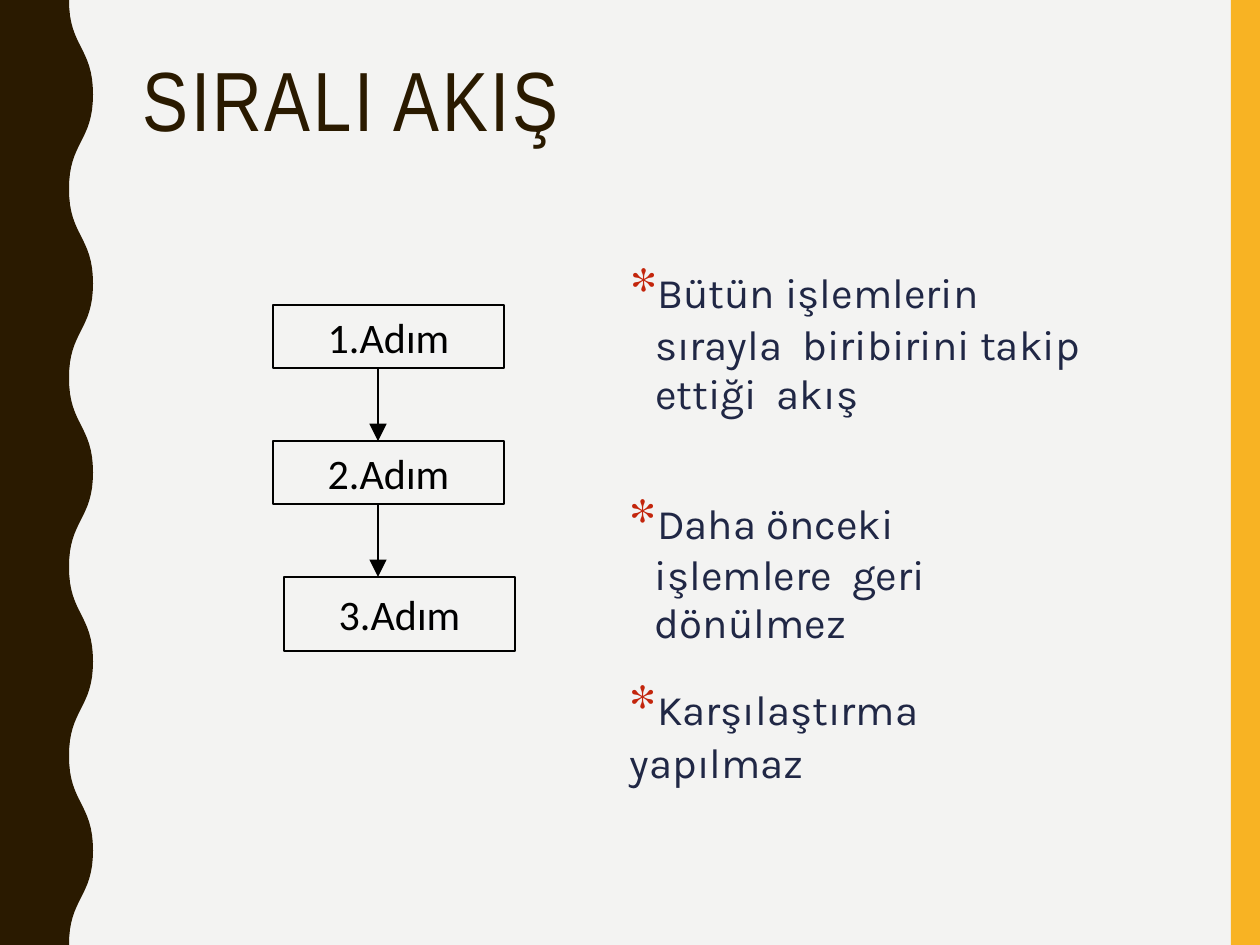
from math import cos, pi

from lxml import etree
from pptx import Presentation
from pptx.dml.color import RGBColor
from pptx.enum.shapes import MSO_CONNECTOR as Connector, MSO_SHAPE as Shape
from pptx.enum.text import MSO_ANCHOR as Anchor, MSO_AUTO_SIZE as AutoSize, PP_ALIGN as Align
from pptx.oxml.ns import qn
from pptx.util import Emu, Pt

PAPER = RGBColor(0xF3, 0xF3, 0xF2)
BROWN = RGBColor(0x2A, 0x1A, 0x00)
AMBER = RGBColor(0xF8, 0xB3, 0x23)
RED = RGBColor(0xC3, 0x25, 0x0C)
NAVY = RGBColor(0x20, 0x27, 0x45)
BLACK = RGBColor(0x00, 0x00, 0x00)

WIDTH, HEIGHT = 1260, 945
PX_PER_INCH = 126


def px(length):
    return Emu(round(length * 914400 / PX_PER_INCH))


def bezier(start, inner, outer, end, t):
    s = 1 - t
    return s**3 * start + 3 * s**2 * t * inner + 3 * s * t**2 * outer + t**3 * end


class FlowSlide:
    title_font, body_font = "Arial Narrow", "Karla"
    star_font, step_font = "TeX Gyre Schola", "Calibri"

    def __init__(self, deck):
        self.slide = deck.slides.add_slide(deck.slide_layouts[5])
        self.shapes = self.slide.shapes
        backdrop = self.slide.background.fill
        backdrop.solid()
        backdrop.fore_color.rgb = PAPER

    def paint(self, shape, color):
        shape.shadow.inherit = False
        shape.fill.solid()
        shape.fill.fore_color.rgb = color
        shape.line.fill.background()

    def style(self, run, font, size, color):
        run.font.name, run.font.size = font, Pt(size)
        run.font.color.rgb = color

    def clear_margins(self, frame, top=0):
        frame.margin_left = frame.margin_right = frame.margin_bottom = 0
        frame.margin_top = px(top)
        frame.word_wrap = True

    def bar(self, left, top, width, height):
        self.paint(self.shapes.add_shape(
            Shape.RECTANGLE, px(left), px(top), px(width), px(height)), AMBER)

    def wave(self, trough, crest, half_waves, steps=16):
        half = HEIGHT / half_waves
        points = []
        for index in range(half_waves):
            near, far = (trough, crest) if index % 2 == 0 else (crest, trough)
            for step in range(1, steps + 1):
                t = step / steps
                points.append((px(bezier(near, near, far, far, t)),
                               px(half * (index + bezier(0, 0.5, 0.5, 1, t)))))
        outline = self.shapes.build_freeform(0, 0)
        outline.add_line_segments(
            [(px(trough), 0), *points, (0, px(HEIGHT))], close=True)
        self.paint(outline.convert_to_shape(), BROWN)

    def title(self, text, left, top, width, height):
        heading = self.shapes.title
        heading.left, heading.top = px(left), px(top)
        heading.width, heading.height = px(width), px(height)
        frame = heading.text_frame
        frame.text = text
        frame.auto_size = AutoSize.NONE
        frame.vertical_anchor = Anchor.TOP
        line = frame.paragraphs[0]
        line.alignment, line.line_spacing = Align.LEFT, 0.9
        self.style(line.runs[0], self.title_font, 48, BROWN)
        line.runs[0].font._element.set("spc", "150")

    def step(self, text, left, top, width, height):
        box = self.shapes.add_shape(
            Shape.RECTANGLE, px(left), px(top), px(width), px(height))
        box.shadow.inherit = False
        box.fill.background()
        box.line.color.rgb, box.line.width = BLACK, Pt(0.75)
        frame = box.text_frame
        self.clear_margins(frame)
        frame.vertical_anchor = Anchor.MIDDLE
        frame.text = text
        frame.paragraphs[0].alignment = Align.CENTER
        self.style(frame.paragraphs[0].runs[0], self.step_font, 24, BLACK)

    def arrow(self, x, top, bottom):
        link = self.shapes.add_connector(
            Connector.STRAIGHT, px(x), px(top), px(x), px(bottom))
        link.line.color.rgb, link.line.width = BLACK, Pt(1)
        etree.SubElement(link.line._get_or_add_ln(), qn("a:tailEnd"),
                         type="triangle", w="lg", len="lg")
        etree.SubElement(link._element.spPr, qn("a:effectLst"))

    def note(self, text, left, top, width, height, inset, indent, hanging, spacing):
        box = self.shapes.add_textbox(px(left), px(top), px(width), px(height))
        frame = box.text_frame
        self.clear_margins(frame, inset)
        line = frame.paragraphs[0]
        line.line_spacing = spacing
        margins = line._p.get_or_add_pPr()
        margins.set("marL", str(px(indent)))
        margins.set("indent", str(px(-hanging)))
        star, body = line.add_run(), line.add_run()
        star.text, body.text = "*", text
        self.style(star, self.star_font, 31, RED)
        self.style(body, self.body_font, 24, NAVY)


def main():
    deck = Presentation()
    deck.slide_width, deck.slide_height = px(WIDTH), px(HEIGHT)
    page = FlowSlide(deck)

    # Side decorations
    page.bar(1231, 0, 29, HEIGHT)
    page.wave(trough=69, crest=93, half_waves=10)

    page.title("SIRALI AKIŞ", 130, 53, 1052, 205)

    # Explanations
    for text, top, width, height, inset, indent, hanging, spacing in (
        ("Bütün işlemlerin sırayla  biribirini takip ettiği  akış",
         253, 472, 168, 4, 26, 25, 0.98),
        ("Daha önceki işlemlere  geri dönülmez", 485, 443, 117, 5, 26, 25, 0.95),
        ("Karşılaştırma yapılmaz", 668, 455, 69, 3, 1, 0, 1.0),
    ):
        page.note(text, 629, top, width, height, inset, indent, hanging, spacing)

    # Sequence of steps
    first_top, pitch, step_height = 305, 136, 63
    for number, (left, height) in enumerate(
            ((273, step_height), (273, step_height), (284, 74))):
        top = first_top + number * pitch
        page.step(f"{number + 1}.Adım", left, top, 231, height)
        if number:
            page.arrow(378, top - pitch + step_height, top)

    deck.save("out.pptx")


if __name__ == "__main__":
    main()
